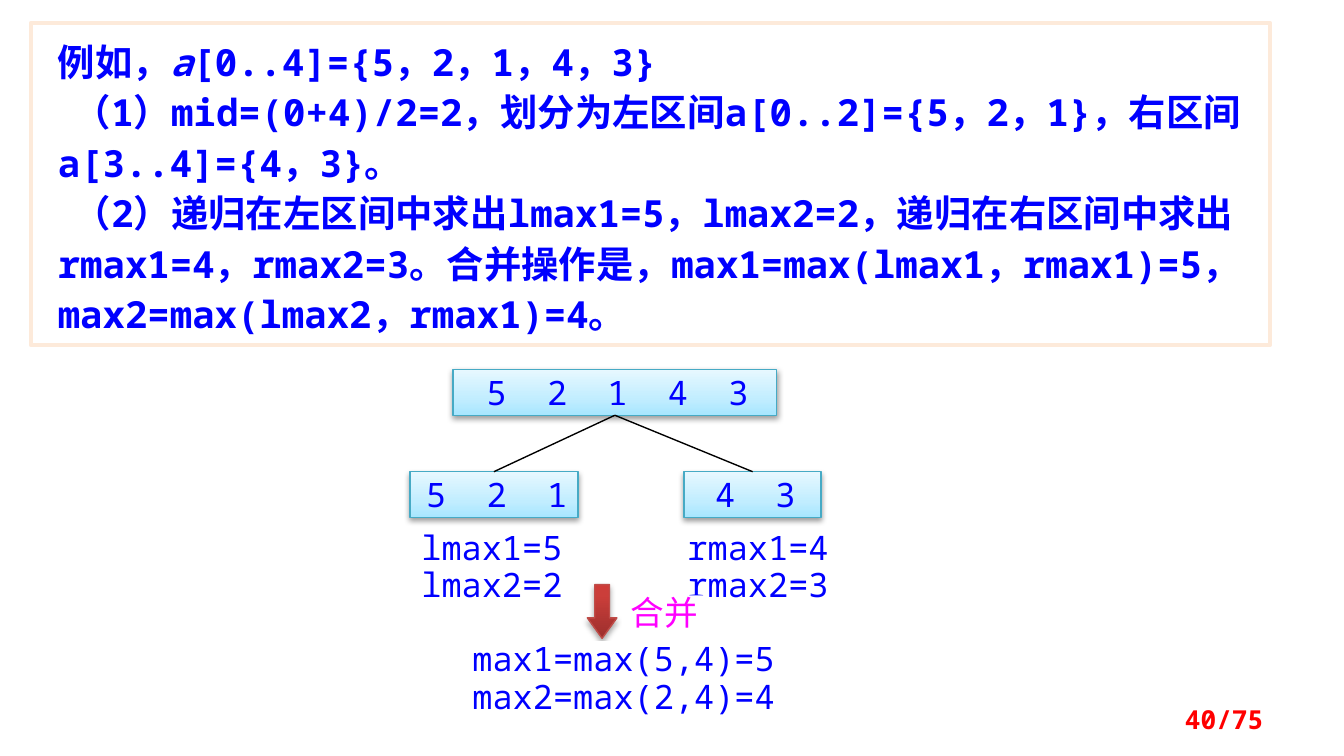
from lxml.etree import SubElement
from pptx import Presentation
from pptx.dml.color import RGBColor
from pptx.enum.shapes import MSO_CONNECTOR, MSO_SHAPE as SHAPE
from pptx.enum.text import MSO_ANCHOR as ANCHOR, PP_ALIGN as ALIGN
from pptx.oxml.ns import qn
from pptx.util import Inches, Pt

FONT = "Noto Sans Mono"
BLUE, MAGENTA, RED, WHITE = "0000FF", "FF00FF", "FF0000", "FFFFFF"
DIGIT_WIDTH, DIGIT_STEP = 0.15, 0.45

# Each paragraph: first-line indent, then (text, italic) spans
EXAMPLE = [
    (0, [("例如，", False), ("a", True), ("[0..4]={5，2，1，4，3}", False)]),
    (0.12, [("（1）mid=(0+4)/2=2，划分为左区间a[0..2]={5，2，1}，右区间a[3..4]={4，3}。", False)]),
    (0.12, [("（2）递归在左区间中求出lmax1=5，lmax2=2，递归在右区间中求出rmax1=4，rmax2=3。"
             "合并操作是，max1=max(lmax1，rmax1)=5，max2=max(lmax2，rmax1)=4。", False)]),
]
# Position and size, then the numbers held; the root comes first
INTERVALS = [
    ((3.37, 2.75, 2.41, 0.34), "52143"),
    ((3.05, 3.51, 1.25, 0.34), "521"),
    ((5.09, 3.51, 1.02, 0.34), "43"),
]
LABELS = [
    ((2.97, 3.94, 1.38, 0.59), ["lmax1=5", "lmax2=2"], BLUE),
    ((4.95, 3.94, 1.38, 0.59), ["rmax1=4", "rmax2=3"], BLUE),
    ((3.42, 4.77, 2.44, 0.54), ["max1=max(5,4)=5", "max2=max(2,4)=4"], BLUE),
    ((4.63, 4.43, 0.63, 0.26), ["合并"], MAGENTA),
]
MERGE_ARROW = (4.37, 4.35, 0.22, 0.4)
BAR_STOPS = [(0, "A7E6FF"), (35, "C1EDFF"), (100, "E7F8FF")]
ARROW_STOPS = [(0, "9C2F2D"), (80, "CB3E3A"), (100, "CE3B37")]


def color(value):
    return RGBColor.from_string(value)


def add_box(page, place, kind=SHAPE.RECTANGLE, fill=WHITE, line=None, width=0.75):
    box = page.shapes.add_shape(kind, *map(Inches, place))
    box.shadow.inherit = False
    box.fill.solid()
    box.fill.fore_color.rgb = color(fill)
    if line:
        box.line.color.rgb = color(line)
        box.line.width = Pt(width)
    else:
        box.line.fill.background()
    return box


def set_margins(frame, left=0, top=0, right=0, bottom=0):
    frame.word_wrap = True
    frame.vertical_anchor = ANCHOR.TOP
    frame.margin_left, frame.margin_top = Inches(left), Inches(top)
    frame.margin_right, frame.margin_bottom = Inches(right), Inches(bottom)


def style_paragraph(para, size, ink, align, spacing=None, bold=False):
    para.alignment = align
    if spacing:
        para.line_spacing = Pt(spacing)
    for span in para.runs:
        span.font.name, span.font.size, span.font.bold = FONT, Pt(size), bold
        span.font.color.rgb = color(ink)
        SubElement(span.font._element, qn("a:ea"), typeface=FONT)


def add_depth(box, stops, opacity, distance):
    """Give the box an upward gradient and a soft shadow below."""
    box.fill.gradient()
    box.fill.gradient_angle = 90
    properties = box._element.spPr
    stop_list = properties.find(".//" + qn("a:gsLst"))
    for stop in list(stop_list):
        stop_list.remove(stop)
    for percent, value in stops:
        stop = SubElement(stop_list, qn("a:gs"), pos=str(percent * 1000))
        SubElement(stop, qn("a:srgbClr"), val=value)
    shadow = SubElement(properties.find(qn("a:effectLst")), qn("a:outerShdw"),
                        blurRad=str(Pt(3.1)), dist=str(Pt(distance)),
                        dir="5400000", rotWithShape="0")
    tint = SubElement(shadow, qn("a:srgbClr"), val="000000")
    SubElement(tint, qn("a:alpha"), val=str(opacity * 1000))


def add_example(page):
    frame = add_box(page, (0.23, 0.17, 9.22, 2.4), line="FDEADA", width=2).text_frame
    set_margins(frame, 0.2, 0.08, 0.1, 0.08)
    for number, (indent, spans) in enumerate(EXAMPLE):
        para = frame.add_paragraph() if number else frame.paragraphs[0]
        for text, italic in spans:
            span = para.add_run()
            span.text, span.font.italic = text, italic
        para._p.get_or_add_pPr().set("indent", str(Inches(indent)))
        style_paragraph(para, 20, BLUE, ALIGN.LEFT, 27, bold=True)


def add_interval(page, place, digits):
    """Draw a bar with its numbers on tab stops, centred as a row."""
    box = add_box(page, place, line="46AAC5")
    add_depth(box, BAR_STOPS, 38, 1.6)
    gaps = len(digits) - 1
    row_width = DIGIT_WIDTH + DIGIT_STEP * gaps
    set_margins(box.text_frame, left=(place[2] + 0.04 - row_width) / 2, top=0.04)
    para = box.text_frame.paragraphs[0]
    para.text = "\t".join(digits)
    tabs = SubElement(para._p.get_or_add_pPr(), qn("a:tabLst"))
    for number in range(1, gaps + 1):
        SubElement(tabs, qn("a:tab"), pos=str(Inches(DIGIT_STEP * number)), algn="l")
    style_paragraph(para, 18, BLUE, ALIGN.LEFT, 20)
    return box


def add_branch(page, parent, child):
    branch = page.shapes.add_connector(MSO_CONNECTOR.STRAIGHT, 0, 0, 0, 0)
    branch.begin_connect(parent, 2)
    branch.end_connect(child, 0)
    branch.line.color.rgb = color("000000")
    branch.line.width = Pt(0.75)
    SubElement(branch._element.spPr, qn("a:effectLst"))


def add_label(page, place, lines, ink):
    frame = add_box(page, place).text_frame
    set_margins(frame)
    frame.text = "\n".join(lines)
    for para in frame.paragraphs:
        style_paragraph(para, 18, ink, ALIGN.CENTER, 20)


def add_page_number(page):
    box = page.shapes.add_textbox(*map(Inches, (7.17, 5.2, 2.33, 0.3)))
    frame = box.text_frame
    frame.word_wrap = True
    frame.vertical_anchor = ANCHOR.MIDDLE
    frame.text = "40/75"
    style_paragraph(frame.paragraphs[0], 14, RED, ALIGN.RIGHT, bold=True)


def main():
    deck = Presentation()
    deck.slide_width, deck.slide_height = Inches(10), Inches(10 * 9 / 16)
    page = deck.slides.add_slide(deck.slide_layouts[6])
    add_example(page)
    root, *halves = [add_interval(page, *interval) for interval in INTERVALS]
    for half in halves:
        add_branch(page, root, half)
    for label in LABELS[:2]:
        add_label(page, *label)
    arrow = add_box(page, MERGE_ARROW, SHAPE.DOWN_ARROW, line="BF4C48")
    arrow.adjustments[0], arrow.adjustments[1] = 0.5, 0.69
    add_depth(arrow, ARROW_STOPS, 35, 1.8)
    for label in LABELS[2:]:
        add_label(page, *label)
    add_page_number(page)
    deck.save("out.pptx")


if __name__ == "__main__":
    main()
